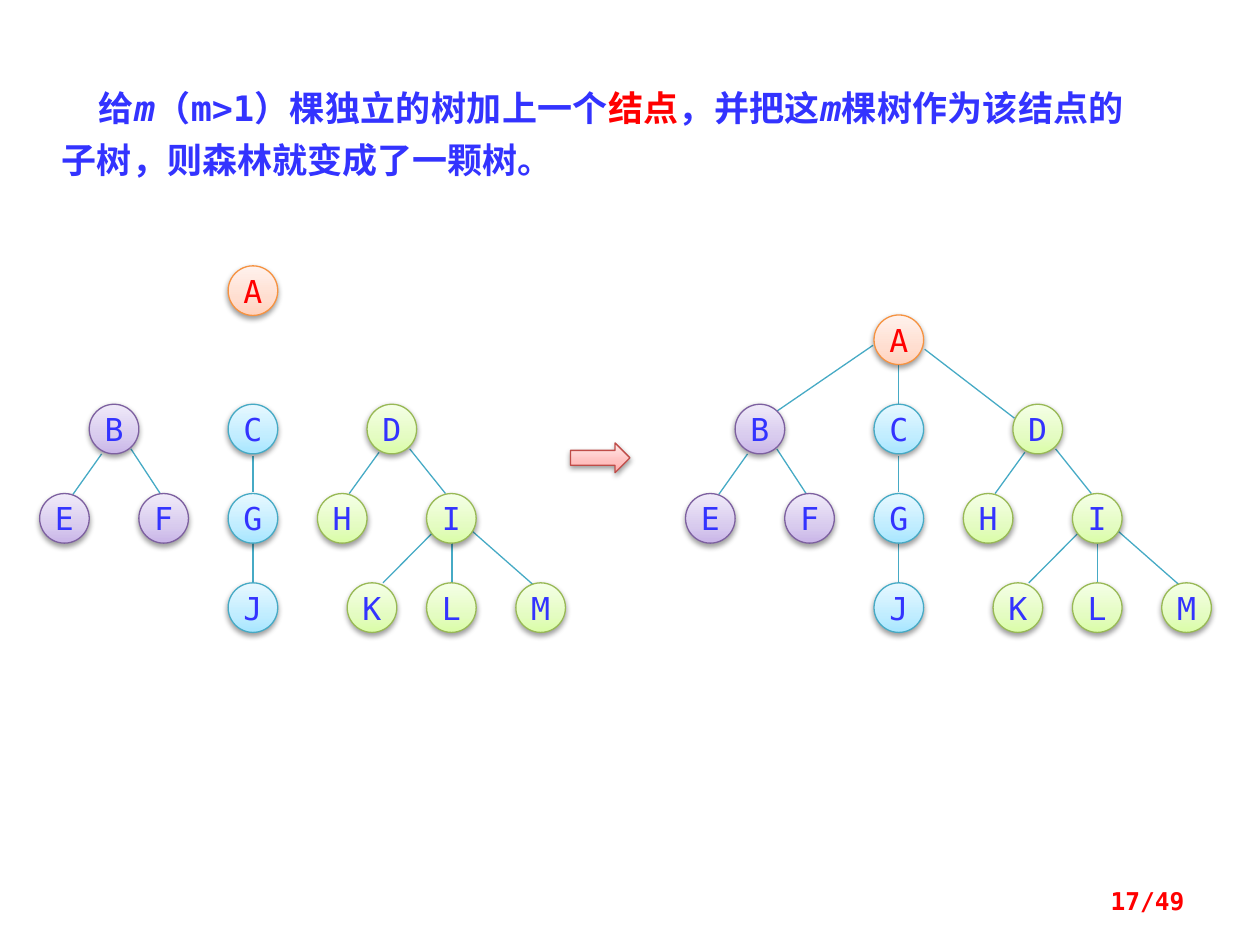
from dataclasses import dataclass

from lxml import etree
from pptx import Presentation
from pptx.dml.color import RGBColor
from pptx.enum.shapes import MSO_CONNECTOR, MSO_SHAPE
from pptx.enum.text import MSO_ANCHOR, PP_ALIGN
from pptx.oxml import parse_xml
from pptx.oxml.ns import nsdecls, qn
from pptx.util import Cm, Pt

OVAL = MSO_SHAPE.OVAL
RIGHT_ARROW = MSO_SHAPE.RIGHT_ARROW
STRAIGHT = MSO_CONNECTOR.STRAIGHT
MIDDLE = MSO_ANCHOR.MIDDLE
CENTER, RIGHT, JUSTIFY = PP_ALIGN.CENTER, PP_ALIGN.RIGHT, PP_ALIGN.JUSTIFY

FONT = "DejaVu Sans Mono"
BLUE = RGBColor(0x33, 0x33, 0xFF)
RED = RGBColor(0xFF, 0x00, 0x00)
EDGE_COLOR = RGBColor(0x46, 0xAA, 0xC5)
LINE_WIDTH = Pt(0.75)

# Grid of the trees, in centimetres
NODE_SIZE = 1.0
ROOT_ROW, ROW_STEP = 8.15, 1.8
LONE_ROOT_TOP, JOINED_ROOT_TOP = 5.36, 6.35
TREE_SHIFT = 13.02


@dataclass(frozen=True)
class Palette:
    line: RGBColor
    stops: tuple[RGBColor, RGBColor, RGBColor]


@dataclass(frozen=True)
class Node:
    label: str
    left: float
    top: float
    palette: Palette
    color: RGBColor = BLUE


@dataclass(frozen=True)
class Edge:
    x1: float
    y1: float
    x2: float
    y2: float


@dataclass(frozen=True)
class Phrase:
    text: str
    color: RGBColor = BLUE
    italic: bool = False


def palette(line: str, *stops: str) -> Palette:
    return Palette(RGBColor.from_string(line),
                   tuple(RGBColor.from_string(stop) for stop in stops))


ORANGE = palette("F69240", "FFD2BD", "FFDED0", "FFF2ED")
PURPLE = palette("7D60A0", "C9B5E8", "D8CBEE", "F0EAF9")
AQUA = palette("46AAC5", "A7E6FF", "C1EDFF", "E7F8FF")
GREEN = palette("98B955", "DAFDA7", "E4FCC2", "F5FFE7")
ROSE = palette("BF4C48", "FFA6A5", "FFC0BF", "FFE7E7")

# Each forest row: label, left, palette
FOREST_ROWS = [
    [("B", 1.8, PURPLE), ("C", 4.6, AQUA), ("D", 7.4, GREEN)],
    [("E", 0.8, PURPLE), ("F", 2.8, PURPLE), ("G", 4.6, AQUA),
     ("H", 6.4, GREEN), ("I", 8.6, GREEN)],
    [("J", 4.6, AQUA), ("K", 7.0, GREEN), ("L", 8.6, GREEN), ("M", 10.4, GREEN)],
]
FOREST = [Node(label, left, ROOT_ROW + row * ROW_STEP, colors)
          for row, entries in enumerate(FOREST_ROWS)
          for label, left, colors in entries]
FOREST_EDGES = [
    Edge(2.05, 9.15, 1.46, 9.98),     # B-E
    Edge(2.64, 9.05, 3.23, 9.95),     # B-F
    Edge(5.1, 9.19, 5.1, 9.91),       # C-G
    Edge(5.1, 10.95, 5.1, 11.75),     # G-J
    Edge(7.64, 9.12, 7.04, 9.95),     # D-H
    Edge(8.26, 9.05, 8.98, 9.95),     # D-I
    Edge(8.71, 10.75, 7.72, 11.75),   # I-K
    Edge(9.11, 10.95, 9.11, 11.75),   # I-L
    Edge(9.5, 10.69, 10.74, 11.78),   # I-M
]
ROOT_EDGES = [
    Edge(4.58, 6.96, 2.58, 8.33),     # A-B
    Edge(5.1, 7.35, 5.1, 8.15),       # A-C
    Edge(5.62, 7.04, 7.43, 8.43),     # A-D
]
STATEMENT = [
    Phrase("给"), Phrase("m", italic=True), Phrase("（m>1）棵独立的树加上一个"),
    Phrase("结点", RED), Phrase("，并把这"), Phrase("m", italic=True),
    Phrase("棵树作为该结点的子树，则森林就变成了一颗树。"),
]


def style_shape(shape, colors: Palette) -> None:
    """Apply a vertical three-stop gradient, an outline and a soft shadow."""
    stops = "".join(
        f'<a:gs pos="{position}"><a:srgbClr val="{color}"/></a:gs>'
        for position, color in zip((0, 35000, 100000), colors.stops))
    properties = shape._element.spPr
    properties.find(qn("a:prstGeom")).addnext(parse_xml(
        f'<a:gradFill {nsdecls("a")} rotWithShape="1"><a:gsLst>{stops}</a:gsLst>'
        '<a:lin ang="16200000" scaled="0"/></a:gradFill>'))
    shape.line.color.rgb = colors.line
    shape.line.width = LINE_WIDTH
    properties.append(parse_xml(
        f'<a:effectLst {nsdecls("a")}><a:outerShdw blurRad="40000" dist="20000" '
        'dir="5400000" rotWithShape="0"><a:srgbClr val="000000">'
        '<a:alpha val="38000"/></a:srgbClr></a:outerShdw></a:effectLst>'))


def style_run(run, size: int, color: RGBColor, bold: bool = False) -> None:
    run.font.name = FONT
    run.font.size = Pt(size)
    run.font.bold = bold
    run.font.color.rgb = color


def draw_node(shapes, node: Node, shift: float) -> None:
    shape = shapes.add_shape(OVAL, Cm(node.left + shift), Cm(node.top),
                             Cm(NODE_SIZE), Cm(NODE_SIZE))
    style_shape(shape, node.palette)
    text_frame = shape.text_frame
    text_frame.text = node.label
    text_frame.word_wrap = False
    text_frame.vertical_anchor = MIDDLE
    paragraph = text_frame.paragraphs[0]
    paragraph.alignment = CENTER
    style_run(paragraph.runs[0], 18, node.color)


def draw_edge(shapes, edge: Edge, shift: float) -> None:
    connector = shapes.add_connector(STRAIGHT, Cm(edge.x1 + shift), Cm(edge.y1),
                                     Cm(edge.x2 + shift), Cm(edge.y2))
    connector.line.color.rgb = EDGE_COLOR
    connector.line.width = LINE_WIDTH
    etree.SubElement(connector._element.spPr, qn("a:effectLst"))


def draw_trees(shapes, root_top: float, edges: list[Edge], shift: float = 0) -> None:
    for edge in edges:
        draw_edge(shapes, edge, shift)
    for node in [Node("A", 4.6, root_top, ORANGE, RED), *FOREST]:
        draw_node(shapes, node, shift)


def main() -> None:
    presentation = Presentation()
    presentation.slide_width, presentation.slide_height = Cm(25.4), Cm(19.05)
    slide = presentation.slides.add_slide(presentation.slide_layouts[6])

    # Statement
    box = slide.shapes.add_textbox(Cm(1), Cm(1.4), Cm(21.91), Cm(2.29))
    box.text_frame.word_wrap = True
    paragraph = box.text_frame.paragraphs[0]
    paragraph.alignment = JUSTIFY
    paragraph.line_spacing = Pt(30)
    paragraph._p.get_or_add_pPr().set("indent", str(Cm(0.74)))
    for phrase in STATEMENT:
        run = paragraph.add_run()
        run.text = phrase.text
        style_run(run, 20, phrase.color, bold=True)
        run.font.italic = phrase.italic

    # Separate trees, then the joined tree
    draw_trees(slide.shapes, LONE_ROOT_TOP, FOREST_EDGES)
    joined_tree = slide.shapes.add_group_shape()
    draw_trees(joined_tree.shapes, JOINED_ROOT_TOP, ROOT_EDGES + FOREST_EDGES, TREE_SHIFT)

    # Arrow between them
    arrow = slide.shapes.add_shape(RIGHT_ARROW, Cm(11.5), Cm(8.93), Cm(1.2), Cm(0.6))
    style_shape(arrow, ROSE)

    # Page number
    page_box = slide.shapes.add_textbox(Cm(18.2), Cm(17.66), Cm(5.93), Cm(1.01))
    page_box.text_frame.text = "17/49"
    page_box.text_frame.word_wrap = True
    page_box.text_frame.vertical_anchor = MIDDLE
    paragraph = page_box.text_frame.paragraphs[0]
    paragraph.alignment = RIGHT
    style_run(paragraph.runs[0], 14, RED, bold=True)

    presentation.save("out.pptx")


if __name__ == "__main__":
    main()
